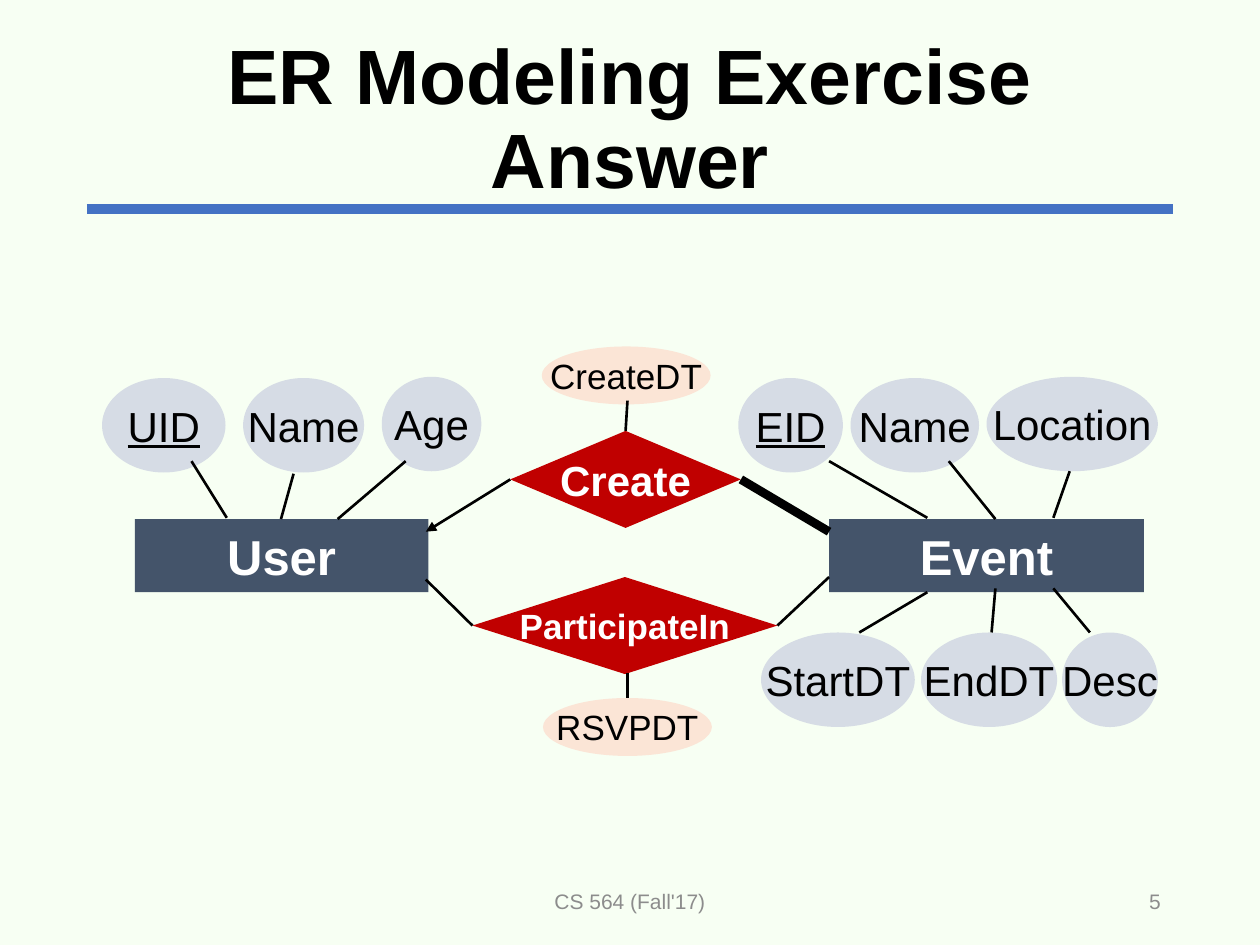
from lxml.etree import SubElement
from pptx import Presentation
from pptx.dml.color import RGBColor
from pptx.enum.shapes import MSO_CONNECTOR, MSO_SHAPE
from pptx.enum.text import MSO_ANCHOR, PP_ALIGN
from pptx.oxml.ns import qn
from pptx.util import Inches, Pt

PAPER = RGBColor(0xF7, 0xFF, 0xF3)
BLUE = RGBColor(0x44, 0x72, 0xC4)
SLATE = RGBColor(0x44, 0x54, 0x6A)
PALE = RGBColor(0xD6, 0xDC, 0xE5)
PEACH = RGBColor(0xFB, 0xE5, 0xD6)
RED = RGBColor(0xC0, 0x00, 0x00)
GRAY = RGBColor(0x8C, 0x8C, 0x8C)
BLACK = RGBColor(0, 0, 0)
WHITE = RGBColor(0xFF, 0xFF, 0xFF)

TOP, LEFT, RIGHT = 0, 1, 3

ENTITY = (MSO_SHAPE.RECTANGLE, SLATE, WHITE, {"size": Pt(28), "bold": True})
FIELD = (MSO_SHAPE.OVAL, PALE, BLACK, {"size": Pt(24)})
KEY = (MSO_SHAPE.OVAL, PALE, BLACK, {"size": Pt(24), "underline": True})
DATE = (MSO_SHAPE.OVAL, PEACH, BLACK, {"size": Pt(20)})
LINK = (MSO_SHAPE.DIAMOND, RED, WHITE, {"size": Pt(24), "bold": True})
LONG = (MSO_SHAPE.DIAMOND, RED, WHITE, {"size": Pt(20), "bold": True})

NODES = [
    ("User", ENTITY, 1.07, 4.12, 2.33, 0.58),
    ("Event", ENTITY, 6.58, 4.12, 2.5, 0.58),
    ("UID", KEY, 0.81, 3, 0.98, 0.75),
    ("Name", FIELD, 1.93, 3, 0.96, 0.75),
    ("Age", FIELD, 3.03, 2.99, 0.79, 0.75),
    ("EID", KEY, 5.86, 3, 0.83, 0.75),
    ("Name", FIELD, 6.75, 3, 1.02, 0.75),
    ("Location", FIELD, 7.83, 2.99, 1.36, 0.75),
    ("StartDT", FIELD, 6.04, 5.02, 1.22, 0.75),
    ("EndDT", FIELD, 7.31, 5.02, 1.08, 0.75),
    ("Desc", FIELD, 8.43, 5.02, 0.76, 0.75),
    ("Create", LINK, 4.05, 3.42, 1.83, 0.77),
    ("ParticipateIn", LONG, 3.75, 4.58, 2.42, 0.77),
    ("CreateDT", DATE, 4.3, 2.75, 1.34, 0.46),
    ("RSVPDT", DATE, 4.31, 5.54, 1.34, 0.46),
]

SPOKES = [
    (1.8, 4.11, 1.52, 3.66),
    (2.23, 4.12, 2.33, 3.76),
    (2.68, 4.12, 3.22, 3.66),
    (7.36, 4.11, 6.58, 3.66),
    (7.9, 4.12, 7.53, 3.66),
    (8.36, 4.11, 8.49, 3.74),
    (7.36, 4.7, 6.82, 5.02),
    (7.9, 4.67, 7.87, 5.02),
    (8.36, 4.67, 8.65, 5.02),
]

JOINS = [
    (6.58, 4.22, 5.88, 3.81, "Create", RIGHT, 5),
    (3.38, 4.22, 4.05, 3.81, "Create", LEFT, 1.5),
    (4.98, 3.18, 4.97, 3.42, "Create", TOP, 1.5),
    (6.58, 4.58, 6.17, 4.97, "ParticipateIn", RIGHT, 1.5),
    (3.38, 4.6, 3.75, 4.97, "ParticipateIn", LEFT, 1.5),
    (4.98, 5.34, 4.98, 5.54, "RSVPDT", TOP, 1.5),
]


def write(frame, text, color, form, align=PP_ALIGN.CENTER, wrap=True):
    """Fill a text frame with one formatted paragraph."""
    frame.word_wrap = wrap
    frame.vertical_anchor = MSO_ANCHOR.MIDDLE
    par = frame.paragraphs[0]
    par.alignment = align
    run = par.add_run()
    run.text = text
    run.font.color.rgb = color
    for name, value in {"name": "Arial", **form}.items():
        setattr(run.font, name, value)
    return par


def place(shape, *box):
    """Set the position and size of a shape in inches."""
    for name, value in zip(("left", "top", "width", "height"), box):
        setattr(shape, name, Inches(value))


def head(slide, text):
    """Write the slide title."""
    title = slide.shapes.title
    place(title, 0.69, 0.24, 8.62, 1.45)
    par = write(title.text_frame, text, BLACK, {"size": Pt(44), "bold": True})
    par.line_spacing = 0.9


def note(slide, text, align, *box):
    """Add a small gray footer text."""
    area = slide.shapes.add_textbox(*map(Inches, box))
    write(area.text_frame, text, GRAY, {"size": Pt(12)}, align)


def node(slide, text, style, *box):
    """Add a labelled diagram node."""
    kind, fill, color, form = style
    shape = slide.shapes.add_shape(kind, *map(Inches, box))
    shape.shadow.inherit = False
    shape.fill.solid()
    shape.fill.fore_color.rgb = fill
    shape.line.fill.background()
    write(shape.text_frame, text, color, form, wrap=False)
    return shape


def wire(slide, *ends, color=BLACK, width=1.5):
    """Add a straight line without a shadow."""
    line = slide.shapes.add_connector(MSO_CONNECTOR.STRAIGHT, *map(Inches, ends))
    line.line.color.rgb = color
    line.line.width = Pt(width)
    SubElement(line._element.spPr, qn("a:effectLst"))
    return line


def arrow(line):
    """Put a triangle at the start of a line."""
    SubElement(line.line._get_or_add_ln(), qn("a:headEnd"), type="triangle")


def main():
    """Build the slide and save it."""
    deck = Presentation()
    deck.slide_width, deck.slide_height = Inches(10), Inches(7.5)
    slide = deck.slides.add_slide(deck.slide_layouts[5])
    slide.background.fill.solid()
    slide.background.fill.fore_color.rgb = PAPER

    wire(slide, 0.69, 1.66, 9.31, 1.66, color=BLUE, width=6)
    head(slide, "ER Modeling Exercise Answer")
    note(slide, "CS 564 (Fall'17)", PP_ALIGN.CENTER, 3.31, 6.95, 3.38, 0.4)
    note(slide, "5", PP_ALIGN.RIGHT, 7.06, 6.95, 2.25, 0.4)

    nodes = {item[0]: node(slide, *item) for item in NODES}
    for ends in SPOKES:
        wire(slide, *ends)
    for *ends, name, side, width in JOINS:
        line = wire(slide, *ends, width=width)
        line.end_connect(nodes[name], side)
        if (name, side) == ("Create", LEFT):
            arrow(line)
    deck.save("out.pptx")


if __name__ == "__main__":
    main()
